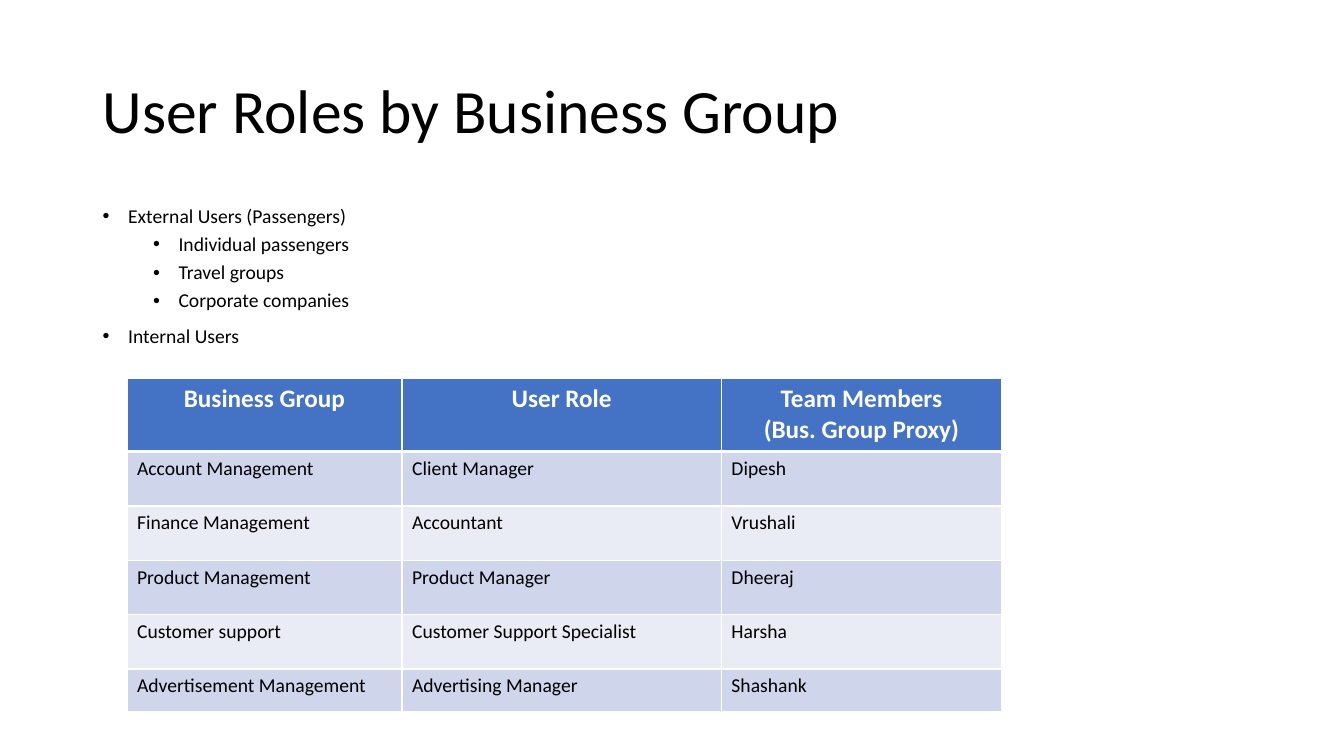
from lxml import etree
from pptx import Presentation
from pptx.dml.color import RGBColor
from pptx.enum.text import MSO_ANCHOR, PP_ALIGN
from pptx.oxml.ns import qn
from pptx.util import Cm, Pt

MIDDLE, TOP = MSO_ANCHOR.MIDDLE, MSO_ANCHOR.TOP
LEFT, CENTER = PP_ALIGN.LEFT, PP_ALIGN.CENTER
BLACK, WHITE, BLUE = "000000", "FFFFFF", "4472C4"
BANDS = ("CFD5EA", "E9EBF5")


def rgb(code):
    return RGBColor.from_string(code)


def write(p, text, color=BLACK, **font):
    r = p.add_run()
    r.text = text
    r.font.color.rgb = rgb(color)
    for name, value in {"name": "Calibri", "size": Pt(14), **font}.items():
        setattr(r.font, name, value)


prs = Presentation()
prs.slide_width, prs.slide_height = Cm(33.87), Cm(19.05)
s = prs.slides.add_slide(prs.slide_layouts[6])

# Title and body frames
frames = []
for top, height, anchor in ((1.02, 3.68, MIDDLE), (5.08, 12.09, TOP)):
    tf = s.shapes.add_textbox(Cm(2.34), Cm(top), Cm(29.21), Cm(height)).text_frame
    tf.word_wrap = True
    tf.vertical_anchor = anchor
    frames.append(tf)
title, body = frames

p = title.paragraphs[0]
p.line_spacing = 0.9
write(p, "User Roles by Business Group", size=Pt(44))

# Bulleted list of user kinds
users = [
    (0, "External Users (Passengers)"),
    (1, "Individual passengers"),
    (1, "Travel groups"),
    (1, "Corporate companies"),
    (0, "Internal Users"),
]
for i, (level, text) in enumerate(users):
    p = body.add_paragraph() if i else body.paragraphs[0]
    p.level = level
    p.line_spacing = 0.9
    p.space_before = Pt(5 if level else 10)
    pPr = p._p.get_or_add_pPr()
    pPr.set("marL", str(Cm(0.64 + 1.27 * level)))
    pPr.set("indent", str(Cm(-0.64)))
    etree.SubElement(pPr, qn("a:buFont"), typeface="Arial")
    etree.SubElement(pPr, qn("a:buChar"), char="•")
    write(p, text)

# Table of business groups
rows = [
    ("Business Group", "User Role", "Team Members\n(Bus. Group Proxy)"),
    ("Account Management", "Client Manager", "Dipesh"),
    ("Finance Management", "Accountant", "Vrushali"),
    ("Product Management", "Product Manager", "Dheeraj"),
    ("Customer support", "Customer Support Specialist", "Harsha"),
    ("Advertisement Management", "Advertising Manager", "Shashank"),
]
widths = (6.93, 8.05, 7.06)
heights = (1.85, 1.37, 1.37, 1.37, 1.37, 1.07)
table = s.shapes.add_table(len(rows), len(widths), Cm(3.2), Cm(9.53),
                           Cm(sum(widths)), Cm(sum(heights))).table
for column, width in zip(table.columns, widths):
    column.width = Cm(width)

for i, (row, height) in enumerate(zip(rows, heights)):
    table.rows[i].height = Cm(height)
    header = i == 0
    fill = BLUE if header else BANDS[(i - 1) % 2]
    color, size = (WHITE, 18) if header else (BLACK, 14)
    # The rule under the header is thicker than the rest
    borders = {"L": 1, "R": 1, "T": 3 if i == 1 else 1, "B": 3 if header else 1}
    for j, text in enumerate(row):
        cell = table.cell(i, j)
        tf = cell.text_frame
        for k, line in enumerate(text.split("\n")):
            p = tf.add_paragraph() if k else tf.paragraphs[0]
            p.alignment = CENTER if header else LEFT
            write(p, line, color, size=Pt(size), bold=header)
        tcPr = cell._tc.get_or_add_tcPr()
        for side, weight in borders.items():
            ln = etree.SubElement(tcPr, qn("a:ln" + side), w=str(Pt(weight)))
            solid = etree.SubElement(ln, qn("a:solidFill"))
            etree.SubElement(solid, qn("a:srgbClr"), val=WHITE)
        cell.fill.solid()
        cell.fill.fore_color.rgb = rgb(fill)

prs.save("out.pptx")
